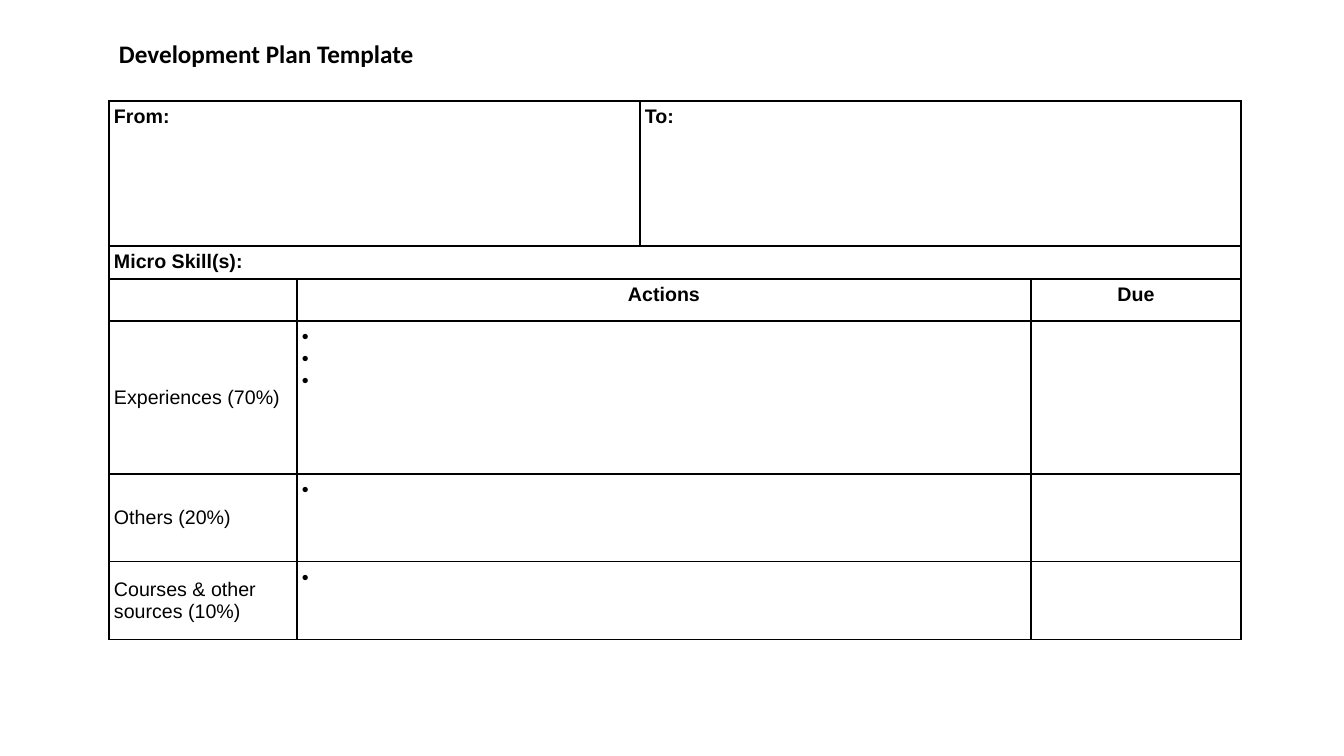
from dataclasses import dataclass

from lxml import etree
from pptx import Presentation
from pptx import util as u
from pptx.dml.color import RGBColor
from pptx.enum import text
from pptx.oxml import ns

PIXEL = 914400 / 100.8
BLACK = RGBColor(0, 0, 0)
WHITE = RGBColor(255, 255, 255)
COLUMNS = (188, 343, 391, 210)
ROWS = (145, 33, 42, 153, 88, 78)
CELL_MARGIN = 5
BULLET_BODY = "\u00a0"  # keeps an unfilled bullet visible


@dataclass
class Entry:
    row: int
    column: int
    words: str = ""
    span: int = 1
    bold: bool = False
    align: text.PP_ALIGN = text.PP_ALIGN.LEFT
    anchor: text.MSO_ANCHOR = text.MSO_ANCHOR.TOP
    bullets: int = 0


@dataclass
class Source:
    label: str
    bullets: int


def px(length: int) -> int:
    return u.Emu(round(length * PIXEL))


def add_span(para, words: str, font: str, size: int, bold: bool) -> None:
    span = para.add_run()
    span.text = words
    span.font.name = font
    span.font.size = u.Pt(size)
    span.font.bold = bold
    span.font.color.rgb = BLACK


def add_bullet(para) -> None:
    props = para._p.get_or_add_pPr()
    props.set("marL", str(u.Inches(0.25)))
    props.set("indent", str(-u.Inches(0.25)))
    etree.SubElement(props, ns.qn("a:buFont")).set("typeface", "Arial")
    etree.SubElement(props, ns.qn("a:buChar")).set("char", "•")


def style_cell(cell) -> None:
    cell.fill.solid()
    cell.fill.fore_color.rgb = WHITE
    cell.margin_left = cell.margin_right = px(CELL_MARGIN)
    cell.margin_top = cell.margin_bottom = px(CELL_MARGIN)
    props = cell._tc.get_or_add_tcPr()
    for place, side in enumerate(("lnL", "lnR", "lnT", "lnB")):
        line = etree.Element(ns.qn(f"a:{side}"), w=str(u.Pt(1)))
        fill = etree.SubElement(line, ns.qn("a:solidFill"))
        etree.SubElement(fill, ns.qn("a:srgbClr")).set("val", str(BLACK))
        props.insert(place, line)


def fill_entry(table, entry: Entry) -> None:
    cell = table.cell(entry.row, entry.column)
    if entry.span > 1:
        cell.merge(table.cell(entry.row, entry.column + entry.span - 1))
    cell.vertical_anchor = entry.anchor
    lines = [BULLET_BODY] * entry.bullets or [entry.words]
    for index, words in enumerate(lines):
        frame = cell.text_frame
        para = frame.add_paragraph() if index else frame.paragraphs[0]
        para.alignment = entry.align
        if entry.bullets:
            add_bullet(para)
        add_span(para, words, "Arial", 14, entry.bold)


deck = Presentation()
deck.slide_width, deck.slide_height = px(1344), px(756)
page = deck.slides.add_slide(deck.slide_layouts[6])

# Plan table
table = page.shapes.add_table(
    len(ROWS), len(COLUMNS), px(109), px(101), px(sum(COLUMNS)), px(sum(ROWS))
).table
table.first_row = table.horz_banding = False
for column, width in zip(table.columns, COLUMNS):
    column.width = px(width)
for row, height in zip(table.rows, ROWS):
    row.height = px(height)
for cell in table.iter_cells():
    style_cell(cell)

# Headings, then one row for each source of development
entries = [
    Entry(0, 0, "From:", span=2, bold=True),
    Entry(0, 2, "To:", span=2, bold=True),
    Entry(1, 0, "Micro Skill(s):", span=4, bold=True),
    Entry(2, 1, "Actions", span=2, bold=True, align=text.PP_ALIGN.CENTER),
    Entry(2, 3, "Due", bold=True, align=text.PP_ALIGN.CENTER),
]
sources = [
    Source("Experiences (70%)", 3),
    Source("Others (20%)", 1),
    Source("Courses & other sources (10%)", 1),
]
for row, source in enumerate(sources, start=3):
    entries.append(Entry(row, 0, source.label, anchor=text.MSO_ANCHOR.MIDDLE))
    entries.append(Entry(row, 1, span=2, bullets=source.bullets))
for entry in entries:
    fill_entry(table, entry)

# Title
box = page.shapes.add_textbox(px(109), px(33), px(318), px(40))
box.text_frame.word_wrap = False
box.text_frame.auto_size = text.MSO_AUTO_SIZE.SHAPE_TO_FIT_TEXT
add_span(box.text_frame.paragraphs[0], "Development Plan Template", "Calibri", 18, True)

deck.save("out.pptx")
